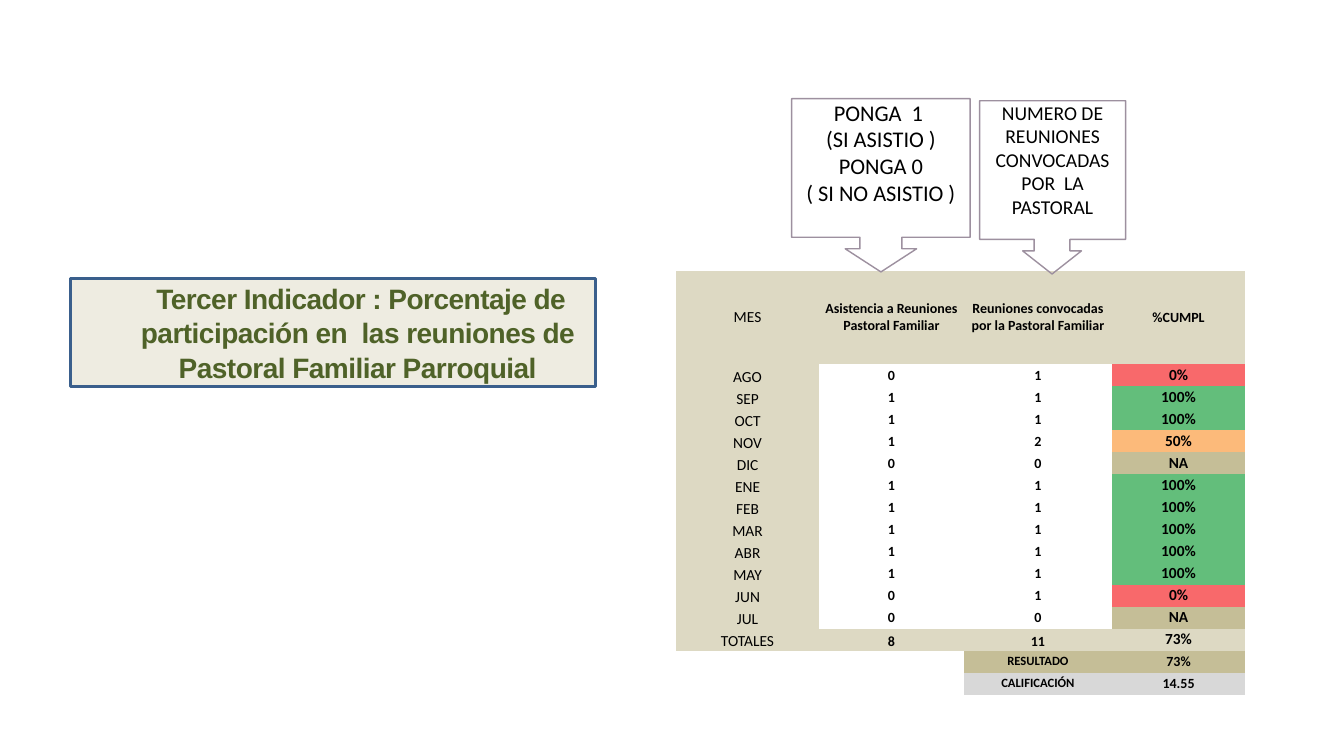
from dataclasses import dataclass

from lxml import etree
from pptx import Presentation
from pptx.dml.color import RGBColor
from pptx.enum import shapes, text
from pptx.oxml import ns
from pptx.slide import Slide
from pptx.table import _Cell
from pptx.text.text import TextFrame
from pptx.util import Emu, Pt

PX = 9525
BLACK = RGBColor(0x00, 0x00, 0x00)
IVORY = RGBColor(0xEE, 0xEC, 0xE1)
OLIVE = RGBColor(0x4F, 0x62, 0x28)
BLUE = RGBColor(0x3A, 0x5F, 0x8C)
MAUVE = RGBColor(0x9D, 0x90, 0x9F)
SAND = RGBColor(0xDD, 0xD9, 0xC3)
KHAKI = RGBColor(0xC5, 0xBE, 0x97)
GRAY = RGBColor(0xD8, 0xD8, 0xD8)
RED = RGBColor(0xF8, 0x69, 0x6B)
ORANGE = RGBColor(0xFC, 0xBA, 0x7A)
GREEN = RGBColor(0x63, 0xBE, 0x7B)
COMPLIANCE_FILLS = {"0%": RED, "50%": ORANGE, "100%": GREEN, "NA": KHAKI}
PLAIN_TABLE_STYLE = "{2D5ABB26-0587-4C30-8999-92F81FD0307C}"
COLUMN_WIDTHS = (136, 138, 141, 127)
HEADER_HEIGHT, ROW_HEIGHT = 89, 21
MIDDLE, BOTTOM = text.MSO_ANCHOR.MIDDLE, text.MSO_ANCHOR.BOTTOM


@dataclass(frozen=True)
class Callout:
    left: int
    top: int
    width: int
    neck_half: int
    head_half: int
    font_size: int
    wording: str


@dataclass(frozen=True)
class Entry:
    wording: str = ""
    size: int = 10
    bold: bool = True
    fill: RGBColor | None = None
    anchor: text.MSO_ANCHOR = MIDDLE


@dataclass(frozen=True)
class Month:
    name: str
    attended: str
    convened: str
    compliance: str


CALLOUTS = (
    Callout(754, 94, 170, 20, 34, 16,
            "PONGA  1 \n(SI ASISTIO )\nPONGA 0\n( SI NO ASISTIO )"),
    Callout(933, 96, 139, 17, 28, 14,
            "NUMERO DE REUNIONES CONVOCADAS POR  LA PASTORAL"),
)
MONTHS = (
    Month("AGO", "0", "1", "0%"),
    Month("SEP", "1", "1", "100%"),
    Month("OCT", "1", "1", "100%"),
    Month("NOV", "1", "2", "50%"),
    Month("DIC", "0", "0", "NA"),
    Month("ENE", "1", "1", "100%"),
    Month("FEB", "1", "1", "100%"),
    Month("MAR", "1", "1", "100%"),
    Month("ABR", "1", "1", "100%"),
    Month("MAY", "1", "1", "100%"),
    Month("JUN", "0", "1", "0%"),
    Month("JUL", "0", "0", "NA"),
)


def px(length: int) -> Emu:
    """Turn pixels into EMU."""
    return Emu(length * PX)


def write(frame: TextFrame, wording: str, size: int, color: RGBColor = BLACK,
          font: str = "Calibri", bold: bool = False) -> None:
    """Fill a text frame with centred, uniformly formatted text."""
    frame.text = wording
    for paragraph in frame.paragraphs:
        paragraph.alignment = text.PP_ALIGN.CENTER
        for run in paragraph.runs:
            run.font.name = font
            run.font.size = Pt(size)
            run.font.bold = bold
            run.font.color.rgb = color


def add_title(slide: Slide) -> None:
    """Draw the framed indicator title."""
    shape = slide.shapes.add_shape(
        shapes.MSO_SHAPE.RECTANGLE, px(67), px(265), px(500), px(103))
    shape.shadow.inherit = False
    shape.fill.solid()
    shape.fill.fore_color.rgb = IVORY
    shape.line.color.rgb = BLUE
    shape.line.width = Pt(2)
    frame = shape.text_frame
    frame.word_wrap = True
    frame.vertical_anchor = MIDDLE
    write(frame, "Tercer Indicador : Porcentaje de participación en  las reuniones "
          "de Pastoral Familiar Parroquial", 20, OLIVE, "Arial", True)
    paragraph = frame.paragraphs[0]
    paragraph.line_spacing = 1.02
    properties = paragraph._p.get_or_add_pPr()
    properties.set("marL", str(px(47)))
    properties.set("indent", str(px(6)))
    paragraph.runs[0].font._element.set("spc", "-40")


def add_callout(slide: Slide, callout: Callout) -> None:
    """Draw a box whose bottom side ends in a down arrow."""
    box_bottom, neck_bottom, tip = (callout.top + depth for depth in (132, 143, 165))
    right = callout.left + callout.width
    center = callout.left + callout.width // 2
    neck, head = callout.neck_half, callout.head_half
    builder = slide.shapes.build_freeform(callout.left, callout.top, scale=PX)
    builder.add_line_segments((
        (right, callout.top), (right, box_bottom),
        (center + neck, box_bottom), (center + neck, neck_bottom),
        (center + head, neck_bottom), (center, tip),
        (center - head, neck_bottom), (center - neck, neck_bottom),
        (center - neck, box_bottom), (callout.left, box_bottom),
    ), close=True)
    shape = builder.convert_to_shape()
    shape.shadow.inherit = False
    shape.fill.background()
    shape.line.color.rgb = MAUVE
    shape.line.width = Pt(1)
    frame = shape.text_frame
    frame.word_wrap = True
    frame.vertical_anchor = text.MSO_ANCHOR.TOP
    frame.margin_left = frame.margin_right = frame.margin_top = frame.margin_bottom = 0
    write(frame, callout.wording, callout.font_size)


def month_row(month: Month) -> tuple[Entry, ...]:
    """Describe the table row of one month."""
    return (Entry(month.name, 11, False, SAND, BOTTOM), Entry(month.attended),
            Entry(month.convened),
            Entry(month.compliance, 11, fill=COMPLIANCE_FILLS[month.compliance]))


def summary_row(label: str, value: str, fill: RGBColor) -> tuple[Entry, ...]:
    """Describe a closing row that uses the last two columns."""
    return Entry(), Entry(), Entry(label, 9, fill=fill), Entry(value, fill=fill)


def fill_cell(cell: _Cell, entry: Entry) -> None:
    """Write and colour one table cell."""
    cell.margin_left = cell.margin_right = cell.margin_top = cell.margin_bottom = 0
    cell.vertical_anchor = entry.anchor
    if entry.fill is None:
        cell.fill.background()
    else:
        cell.fill.solid()
        cell.fill.fore_color.rgb = entry.fill
    if entry.wording:
        write(cell.text_frame, entry.wording, entry.size, bold=entry.bold)
    else:
        paragraph = cell.text_frame.paragraphs[0]
        etree.SubElement(paragraph._p, ns.qn("a:endParaRPr"), sz=str(entry.size * 100))


def add_attendance_table(slide: Slide) -> None:
    """Draw the monthly attendance table."""
    rows = (
        (Entry("MES", 11, False, SAND),
         Entry("Asistencia a Reuniones Pastoral Familiar", fill=SAND),
         Entry("Reuniones convocadas por la Pastoral Familiar", fill=SAND),
         Entry("%CUMPL", fill=SAND)),
        *map(month_row, MONTHS),
        (Entry("TOTALES", 11, False, SAND, BOTTOM), Entry("8", fill=SAND, anchor=BOTTOM),
         Entry("11", fill=SAND, anchor=BOTTOM), Entry("73%", 11, fill=SAND)),
        summary_row("RESULTADO", "73%", KHAKI),
        summary_row("CALIFICACIÓN", "14.55", GRAY),
        (Entry(),) * len(COLUMN_WIDTHS),
    )
    heights = [HEADER_HEIGHT] + [ROW_HEIGHT] * (len(rows) - 1)
    table = slide.shapes.add_table(
        len(rows), len(COLUMN_WIDTHS), px(644), px(258),
        px(sum(COLUMN_WIDTHS)), px(sum(heights))).table
    table.first_row = table.horz_banding = False
    table._tbl.tblPr.find(ns.qn("a:tableStyleId")).text = PLAIN_TABLE_STYLE
    for column, width in zip(table.columns, COLUMN_WIDTHS):
        column.width = px(width)
    for row, height, entries in zip(table.rows, heights, rows):
        row.height = px(height)
        for cell, entry in zip(row.cells, entries):
            fill_cell(cell, entry)


def main() -> None:
    """Build and save the slide."""
    presentation = Presentation()
    presentation.slide_width, presentation.slide_height = px(1280), px(720)
    slide = presentation.slides.add_slide(presentation.slide_layouts[6])
    add_title(slide)
    add_attendance_table(slide)
    for callout in CALLOUTS:
        add_callout(slide, callout)
    presentation.save("out.pptx")


if __name__ == "__main__":
    main()
